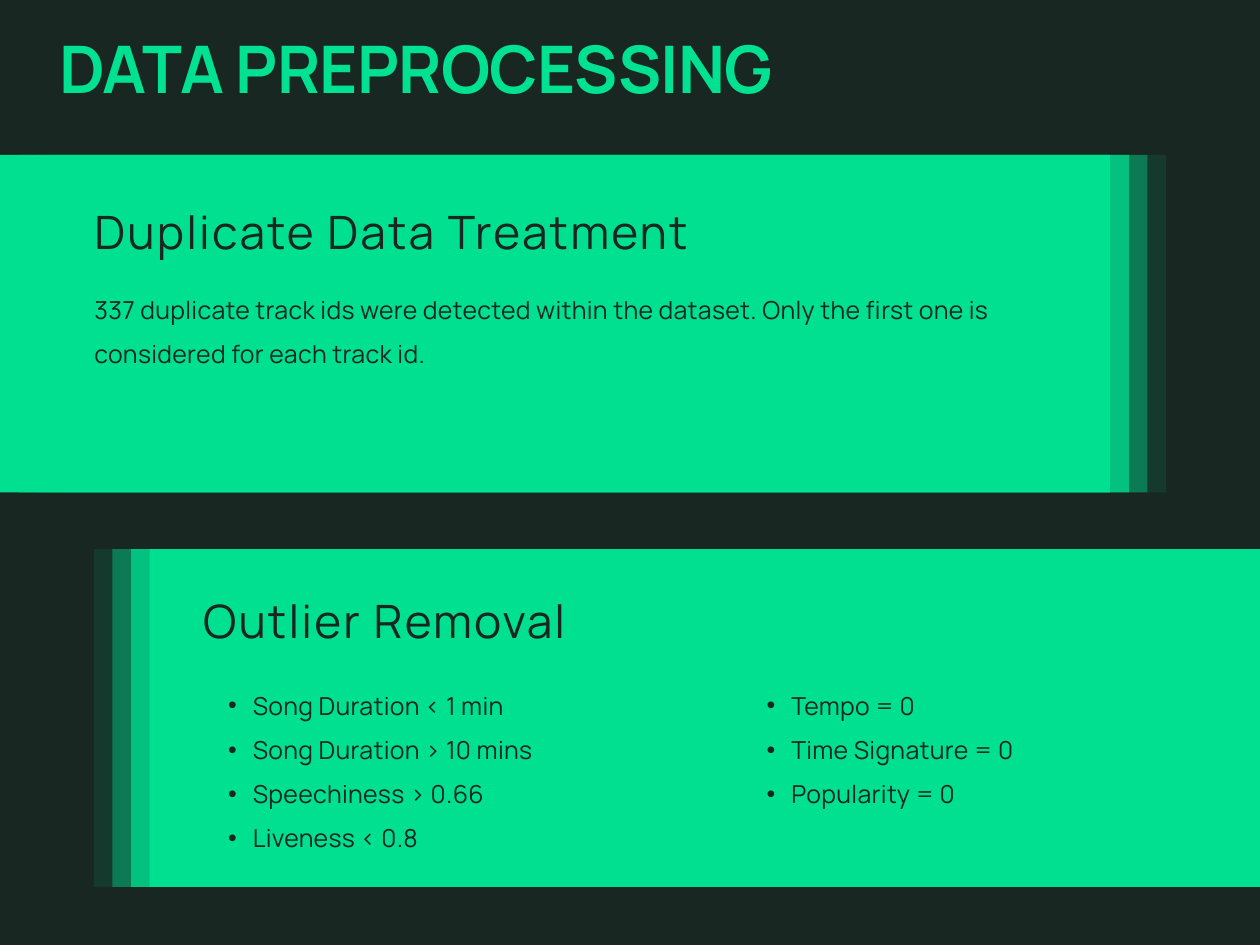
from dataclasses import dataclass

from lxml import etree
from pptx import Presentation
from pptx import util as u
from pptx.dml.color import RGBColor
from pptx.enum import shapes, text
from pptx.oxml.ns import qn


@dataclass(frozen=True)
class TextStyle:
    size: float
    leading: float
    tracking: float
    color: RGBColor
    bold: bool = False


@dataclass(frozen=True)
class Theme:
    font: str = "Manrope"
    dark: RGBColor = RGBColor(0x18, 0x27, 0x22)
    green: RGBColor = RGBColor(0x00, 0xE0, 0x91)
    title: TextStyle = TextStyle(40, 70.8, -0.4, RGBColor(0x00, 0xE1, 0x92), True)
    heading: TextStyle = TextStyle(28, 33.6, 1.4, dark)
    body: TextStyle = TextStyle(15.1, 27, 0.2, dark)


THEME = Theme()
SLIDE_W, SLIDE_H = 27.1, 20.32
PANEL_W, PANEL_H = 23.88, 7.26
LAYER_STEP = 0.4
LAYER_OPACITIES = (10, 40, 70, 100)  # back to front
BULLET_INDENT, BULLET_HANG = 1.07, 0.53


def add_layered_panel(slide, front_left, top, trail):
    """Stack bands behind a solid one; trail is 1 to the right, -1 to the left."""
    panel = slide.shapes.add_group_shape()
    for depth, opacity in zip((3, 2, 1, 0), LAYER_OPACITIES):
        left = front_left + trail * depth * LAYER_STEP
        band = panel.shapes.add_shape(
            shapes.MSO_SHAPE.RECTANGLE,
            u.Cm(left), u.Cm(top), u.Cm(PANEL_W), u.Cm(PANEL_H))
        band.shadow.inherit = False
        band.line.fill.background()
        band.fill.solid()
        band.fill.fore_color.rgb = THEME.green
        if opacity < 100:
            color = band.fill._xPr.find(".//" + qn("a:srgbClr"))
            etree.SubElement(color, qn("a:alpha"), val=str(opacity * 1000))


def add_bullet(paragraph):
    paragraph.level = 1
    properties = paragraph._p.get_or_add_pPr()
    properties.set("marL", str(u.Cm(BULLET_INDENT)))
    properties.set("indent", str(-u.Cm(BULLET_HANG)))
    etree.SubElement(properties, qn("a:buFont"), typeface="Arial")
    etree.SubElement(properties, qn("a:buChar"), char="•")


def add_text(container, lines, box, style, justify=False, bulleted=False):
    label = container.shapes.add_textbox(*(u.Cm(length) for length in box))
    frame = label.text_frame
    frame.word_wrap = True
    frame.auto_size = text.MSO_AUTO_SIZE.SHAPE_TO_FIT_TEXT
    frame.margin_left = frame.margin_right = 0
    frame.margin_top = frame.margin_bottom = 0
    frame.text = "\n".join(lines)
    for paragraph in frame.paragraphs:
        if bulleted:
            add_bullet(paragraph)
        paragraph.line_spacing = u.Pt(style.leading)
        paragraph.alignment = (
            text.PP_ALIGN.JUSTIFY if justify else text.PP_ALIGN.LEFT)
        for run in paragraph.runs:
            run.font.name = THEME.font
            run.font.size = u.Pt(style.size)
            run.font.bold = style.bold
            run.font.color.rgb = style.color
            run._r.get_or_add_rPr().set("spc", str(round(style.tracking * 100)))


def main():
    deck = Presentation()
    deck.slide_width, deck.slide_height = u.Cm(SLIDE_W), u.Cm(SLIDE_H)
    slide = deck.slides.add_slide(deck.slide_layouts[6])
    slide.background.fill.solid()
    slide.background.fill.fore_color.rgb = THEME.dark

    # Panels running off the left and right edges
    add_layered_panel(slide, 0, 3.33, trail=1)
    add_layered_panel(slide, SLIDE_W - PANEL_W, 11.81, trail=-1)

    # Duplicate data
    duplicates = slide.shapes.add_group_shape()
    add_text(duplicates, ["Duplicate Data Treatment"],
             (2.03, 4.37, 19.61, 1.22), THEME.heading)
    add_text(duplicates,
             ["337 duplicate track ids were detected within the dataset. "
              "Only the first one is considered for each track id."],
             (2.03, 6.02, 19.61, 1.88), THEME.body)

    # Outliers
    add_text(slide, ["Outlier Removal"],
             (4.37, 12.75, 20.7, 1.22), THEME.heading, justify=True)
    audio_limits = ["Song Duration < 1 min", "Song Duration > 10 mins",
                    "Speechiness > 0.66", "Liveness < 0.8"]
    zero_values = ["Tempo = 0", "Time Signature = 0", "Popularity = 0"]
    for left, criteria in ((4.37, audio_limits), (15.95, zero_values)):
        add_text(slide, criteria, (left, 14.53, 20.7, 0.94 * len(criteria)),
                 THEME.body, justify=True, bulleted=True)

    # Title
    add_text(slide, ["DATA PREPROCESSING"],
             (1.27, -0.2, 24.1, 2.31), THEME.title)

    deck.save("out.pptx")


if __name__ == "__main__":
    main()
